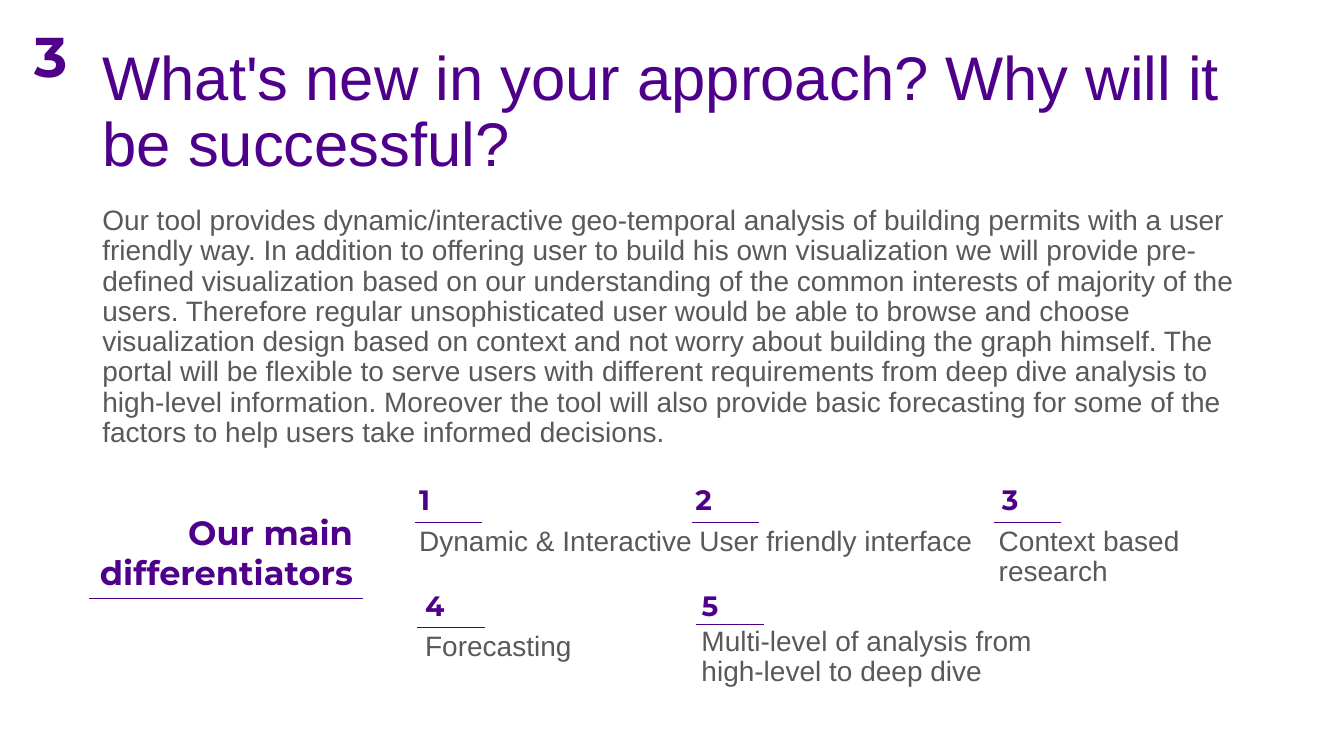
from lxml import etree
from pptx import Presentation
from pptx.dml.color import RGBColor
from pptx.enum.shapes import MSO_CONNECTOR
from pptx.enum.text import MSO_ANCHOR, MSO_AUTO_SIZE, PP_ALIGN
from pptx.oxml.ns import qn
from pptx.util import Pt

COLORS = {"purple": "4F008B", "grey": "595959"}
BODY = {"name": "Arial", "size": Pt(20), "bold": False}
HEADING = {"name": "Montserrat", "size": Pt(20), "bold": True}
PROSE = {"line_spacing": 0.9, "space_before": Pt(10)}

prs = Presentation()
prs.slide_width, prs.slide_height = Pt(960), Pt(540)
slide = prs.slides.add_slide(prs.slide_layouts[5])


def write(box, text, color, font, paragraph_format, frame_format):
    """Fill a text shape and apply its font, paragraph and frame formats."""
    frame = box.text_frame
    frame.text = text
    paragraph = frame.paragraphs[0]
    run_font = paragraph.runs[0].font
    run_font.color.rgb = RGBColor.from_string(COLORS[color])
    for target, values in ((run_font, font), (paragraph, paragraph_format),
                           (frame, frame_format)):
        for attribute, value in values.items():
            setattr(target, attribute, value)


def rule(x, y, length):
    """Draw a thin purple horizontal line."""
    line = slide.shapes.add_connector(
        MSO_CONNECTOR.STRAIGHT, Pt(x), Pt(y), Pt(x + length), Pt(y))
    line.line.color.rgb = RGBColor.from_string(COLORS["purple"])
    line.line.width = Pt(0.5)
    etree.SubElement(line._element.spPr, qn("a:effectLst"))


title = slide.shapes.title
title.left, title.top, title.width, title.height = Pt(66), Pt(28.8), Pt(828), Pt(104.4)
write(title, "What's new in your approach? Why will it be successful?", "purple",
      {"name": "Arial", "size": Pt(44), "bold": False},
      {"line_spacing": 0.9, "alignment": PP_ALIGN.LEFT},
      {"vertical_anchor": MSO_ANCHOR.MIDDLE, "word_wrap": True,
       "auto_size": MSO_AUTO_SIZE.NONE})

approach = slide.shapes.add_textbox(Pt(66), Pt(144), Pt(828), Pt(342.7))
write(approach,
      "Our tool provides dynamic/interactive geo-temporal analysis of building permits "
      "with a user friendly way. In addition to offering user to build his own "
      "visualization we will provide pre-defined visualization based on our understanding "
      "of the common interests of majority of the users. Therefore regular "
      "unsophisticated user would be able to browse and choose visualization design based "
      "on context and not worry about building the graph himself. The portal will be "
      "flexible to serve users with different requirements from deep dive analysis to "
      "high-level information. Moreover the tool will also provide basic forecasting for "
      "some of the factors to help users take informed decisions. ",
      "grey", BODY, PROSE, {"word_wrap": True})

# Text, then left, top, width and height of the text, number left and top, rule left and top
differentiators = [
    ("Dynamic & Interactive", (292.3, 373, 214.6, 28.8), (292.3, 341.3), (296.6, 373)),
    ("User friendly interface", (492.5, 373, 216, 28.8), (489.6, 341.3), (494, 373)),
    ("Context based research", (706.3, 373, 225.4, 28.8), (708.5, 341.3), (710, 373)),
    ("Forecasting", (296.6, 447.8, 126.7, 28.8), (296.6, 416.9), (298.1, 447.8)),
    ("Multi-level of analysis from high-level to deep dive",
     (494, 444.2, 257, 51.1), (494, 416.9), (497.5, 445.7)),
]
for number, (text, text_area, number_corner, rule_start) in enumerate(differentiators, 1):
    label = slide.shapes.add_textbox(*map(Pt, text_area))
    write(label, text, "grey", BODY, PROSE, {"word_wrap": True})
    marker = slide.shapes.add_textbox(*map(Pt, (*number_corner, 28.1, 31.7)))
    write(marker, str(number), "purple", HEADING, {},
          {"word_wrap": False, "auto_size": MSO_AUTO_SIZE.SHAPE_TO_FIT_TEXT})
    rule(*rule_start, 48)

differentiators_heading = slide.shapes.add_textbox(Pt(45.4), Pt(362.2), Pt(213.8), Pt(65.5))
write(differentiators_heading, "Our main differentiators", "purple",
      {**HEADING, "size": Pt(24)}, {"alignment": PP_ALIGN.RIGHT},
      {"word_wrap": True, "auto_size": MSO_AUTO_SIZE.SHAPE_TO_FIT_TEXT})
rule(63.4, 427.7, 196)

section_number = slide.shapes.add_textbox(Pt(17.3), Pt(12.2), Pt(41.8), Pt(55.4))
write(section_number, "3", "purple", {**HEADING, "size": Pt(40)}, {},
      {"word_wrap": False, "auto_size": MSO_AUTO_SIZE.SHAPE_TO_FIT_TEXT})

prs.save("out.pptx")
